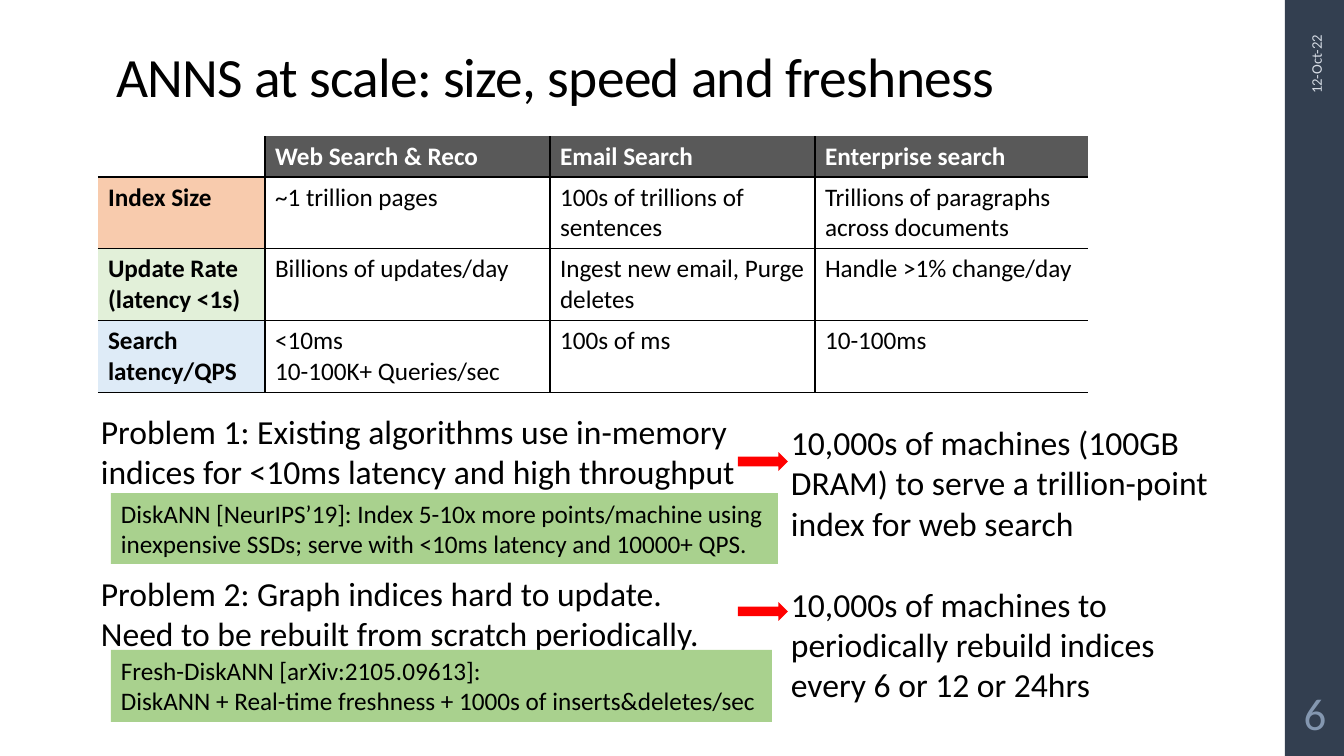
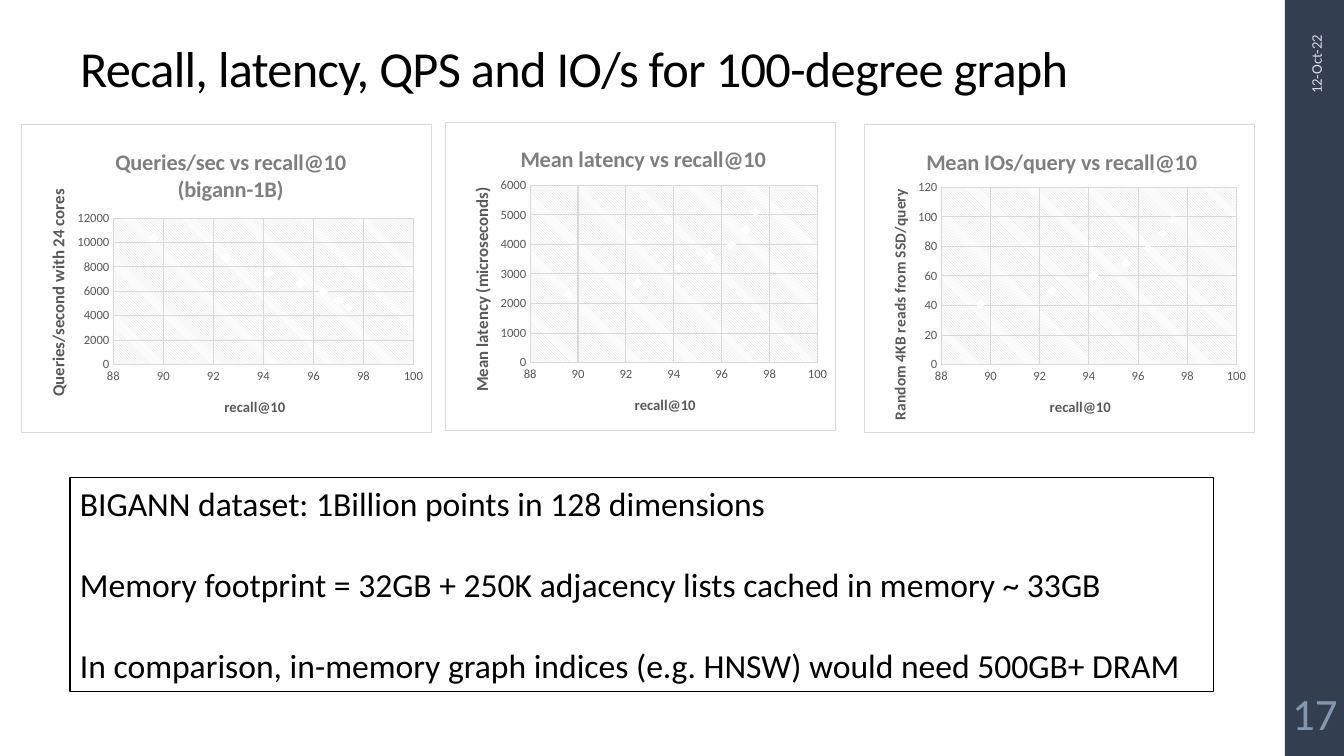
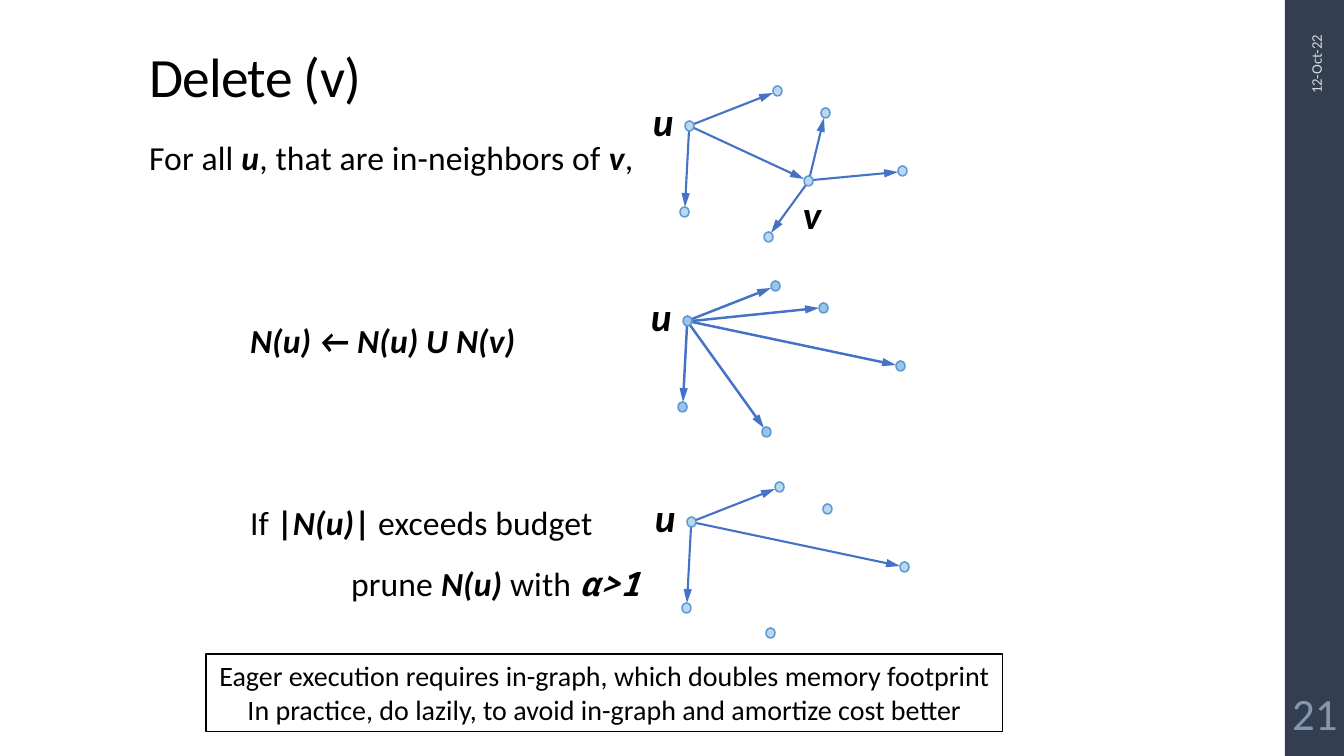
"""Build three slides on nearest-neighbour search at scale."""
import math
from dataclasses import dataclass

from lxml import etree
from pptx import Presentation
from pptx import util as u
from pptx.chart import data as chart_data
from pptx.dml.color import RGBColor
from pptx.enum import chart as chart_enum
from pptx.enum import shapes, text
from pptx.oxml import parse_xml
from pptx.oxml.ns import nsdecls, qn

EMU_PER_PX = 12192000 / 1344


def px(length):
    return u.Emu(round(length * EMU_PER_PX))


@dataclass(frozen=True)
class Theme:
    font: str = "Calibri"
    symbol_font: str = "Noto Sans Mono"
    ink: str = "000000"
    paper: str = "FFFFFF"
    band: str = "333F50"
    date: str = "D6DCE5"
    number: str = "8497B0"
    header: str = "595959"
    row_fills: tuple = ("F8CBAD", "E2F0D9", "DEEBF7")
    callout: str = "A9D18E"
    arrow: str = "FF0000"
    node: str = "BDD7EE"
    node_dark: str = "9DC3E6"
    node_line: str = "5B9BD5"
    edge: str = "4472C4"
    grid: str = "D9D9D9"
    chart_title: str = "7F7F7F"
    chart_text: str = "595959"
    title_size: float = 39.6
    title_small: float = 36
    body_size: float = 24
    label_size: float = 28
    note_size: float = 20
    cell_size: float = 18
    number_size: float = 32
    date_size: float = 10.5
    chart_title_size: float = 16
    chart_size: float = 10
    tick_size: float = 9
    x_title_size: float = 10.5


@dataclass
class Para:
    runs: tuple
    before: float = 0
    after: float = 0
    indent: int = 0


class Deck:
    def __init__(self, theme):
        self.theme = theme
        self.deck = Presentation()
        self.deck.slide_width, self.deck.slide_height = px(1344), px(756)
        self.page = None

    def color(self, target, value):
        target.rgb = RGBColor.from_string(value)

    def paint(self, shape, fill=None, line=None, width=0.75):
        if fill:
            shape.fill.solid()
            self.color(shape.fill.fore_color, fill)
        else:
            shape.fill.background()
        if line:
            self.color(shape.line.color, line)
            shape.line.width = u.Pt(width)
        else:
            shape.line.fill.background()

    def style(self, font, size, color, bold=False, italic=False, name=None):
        font.name, font.size = name or self.theme.font, u.Pt(size)
        font.bold, font.italic = bold, italic
        self.color(font.color, color)

    def place(self, shape, area):
        shape.left, shape.top, shape.width, shape.height = map(px, area)

    def set_text(self, frame, paras, size, color=None, align=text.PP_ALIGN.LEFT,
                 anchor=text.MSO_ANCHOR.TOP, marks="", spacing=None, line=None, plain=False):
        frame.word_wrap = True
        frame.auto_size = text.MSO_AUTO_SIZE.NONE
        frame.vertical_anchor = anchor
        self.add_paras(frame, paras, size, color, align, marks, spacing, line, plain)

    def add_paras(self, frame, paras, size, color, align, marks, spacing=None, line=None, plain=False):
        for index, item in enumerate(paras):
            item = item if isinstance(item, Para) else Para((item,))
            para = frame.paragraphs[0] if index == 0 else frame.add_paragraph()
            if plain:
                props = para._p.get_or_add_pPr()
                props.set("marL", str(px(item.indent)))
                props.set("indent", "0")
                etree.SubElement(props, qn("a:buNone"))
            para.alignment = align
            para.space_before, para.space_after = u.Pt(item.before), u.Pt(item.after)
            if line:
                para.line_spacing = line
            for run in item.runs:
                words, look = run if isinstance(run, tuple) else (run, marks)
                span = para.add_run()
                span.text = words
                name = self.theme.symbol_font if "s" in look else None
                self.style(span.font, size, color or self.theme.ink, "b" in look, "i" in look, name)
                if spacing is not None:
                    span._r.get_or_add_rPr().set("spc", str(spacing))

    def slide(self, title, area, number, size=None, layout=5):
        theme = self.theme
        self.page = self.deck.slides.add_slide(self.deck.slide_layouts[layout])
        self.box((1285, 0, 59, 756), fill=theme.band)
        heading = self.page.shapes.title
        self.place(heading, area)
        self.set_text(heading.text_frame, [title], size or theme.title_size,
                      anchor=text.MSO_ANCHOR.BOTTOM, spacing=-50, line=0.9)
        date = self.label((1211, 110, 210, 40), ["12-Oct-22"], theme.date_size, color=theme.date,
                          align=text.PP_ALIGN.RIGHT, anchor=text.MSO_ANCHOR.MIDDLE)
        date.rotation = 270
        mark = self.label((1285, 680, 60, 66), [number], theme.number_size, color=theme.number,
                          align=text.PP_ALIGN.CENTER, anchor=text.MSO_ANCHOR.MIDDLE)
        mark.text_frame.margin_left = mark.text_frame.margin_right = px(5)

    def body(self, area, paras):
        holder = self.page.placeholders[1]
        self.place(holder, area)
        self.set_text(holder.text_frame, paras, self.theme.body_size, spacing=10, line=0.95, plain=True)

    def label(self, area, paras, size, **look):
        box = self.page.shapes.add_textbox(*map(px, area))
        self.set_text(box.text_frame, paras, size, **look)
        return box

    def box(self, area, paras=(), size=None, fill=None, line=None, width=0.75,
            kind=shapes.MSO_SHAPE.RECTANGLE, **look):
        shape = self.page.shapes.add_shape(kind, *map(px, area))
        shape.shadow.inherit = False
        self.paint(shape, fill, line, width)
        if paras:
            self.set_text(shape.text_frame, paras, size, **look)
        return shape

    def edge(self, start, end, width):
        angle = math.atan2(end[1] - start[1], end[0] - start[0])
        dx, dy = 5 * math.cos(angle), 5 * math.sin(angle)
        ends = (start[0] + dx, start[1] + dy, end[0] - dx, end[1] - dy)
        line = self.page.shapes.add_connector(shapes.MSO_CONNECTOR.STRAIGHT, *map(px, map(round, ends)))
        self.color(line.line.color, self.theme.edge)
        line.line.width = u.Pt(width)
        props = line.element.spPr
        etree.SubElement(props.find(qn("a:ln")), qn("a:tailEnd"), type="triangle", w="med", len="lg")
        etree.SubElement(props, qn("a:effectLst"))

    def graph(self, origin, nodes, edges, labels, fill, width=1.5):
        centers = {name: (origin[0] + x + 4.5, origin[1] + y + 5) for name, (x, y) in nodes.items()}
        for start, end in edges:
            self.edge(centers[start], centers[end], width)
        for x, y in nodes.values():
            self.box((origin[0] + x, origin[1] + y, 9, 10), fill=fill, line=self.theme.node_line,
                     width=1.1, kind=shapes.MSO_SHAPE.OVAL)
        for name, (x, y) in labels.items():
            self.label((origin[0] + x, origin[1] + y, 42, 57), [name], self.theme.label_size, marks="bi")

    def table(self, origin, widths, heights, rows):
        theme = self.theme
        frame = self.page.shapes.add_table(len(rows), len(widths), *map(px, (*origin, sum(widths), sum(heights))))
        table = frame.table
        table._tbl.tblPr.find(qn("a:tableStyleId")).text = "{2D5ABB26-0587-4C30-8999-92F81FD0307C}"
        table.first_row = table.horz_banding = False
        for column, width in zip(table.columns, widths):
            column.width = px(width)
        for row, height in zip(table.rows, heights):
            row.height = px(height)
        for r, row in enumerate(rows):
            for c, words in enumerate(row):
                cell = table.cell(r, c)
                sides = {"L": c > 0, "R": c < len(widths) - 1, "T": r > 0, "B": True}
                for side in (name for name, shown in sides.items() if shown):
                    cell._tc.get_or_add_tcPr().append(parse_xml(
                        f'<a:ln{side} {nsdecls("a")} w="12700"><a:solidFill><a:srgbClr val="{theme.ink}"/>'
                        f'</a:solidFill></a:ln{side}>'))
                fill = theme.header if r == 0 and c else theme.row_fills[r - 1] if r and c == 0 else None
                if fill:
                    cell.fill.solid()
                    self.color(cell.fill.fore_color, fill)
                else:
                    cell.fill.background()
                if words:
                    self.add_paras(cell.text_frame, words.split("\n"), theme.cell_size,
                                   theme.ink if r else theme.paper, text.PP_ALIGN.LEFT,
                                   "b" if r * c == 0 else "")

    def layout(self, owner, values):
        for old in owner.findall(qn("c:layout")):
            owner.remove(old)
        inner = '<c:layoutTarget val="inner"/>' if "w" in values else ""
        modes = "".join(f'<c:{key}Mode val="edge"/>' for key in ("x", "y"))
        sizes = "".join(f'<c:{key} val="{value:.3f}"/>' for key, value in values.items())
        found = owner.find(qn("c:tx"))
        owner.insert(0 if found is None else 1, parse_xml(
            f'<c:layout {nsdecls("c")}><c:manualLayout>{inner}{modes}{sizes}</c:manualLayout></c:layout>'))

    def chart_heading(self, title, words, size, color, x, y):
        para = title.text_frame.paragraphs[0]
        span = para.add_run()
        span.text = words
        self.style(span.font, size, color, bold=True)
        self.layout(title._element, {"x": x, "y": y})

    def axis(self, axis, low, high, step):
        axis.minimum_scale, axis.maximum_scale, axis.major_unit = low, high, step
        axis.has_major_gridlines = True
        axis.major_tick_mark = axis.minor_tick_mark = chart_enum.XL_TICK_MARK.NONE
        for line in (axis.format.line, axis.major_gridlines.format.line):
            self.color(line.color, self.theme.grid)
            line.width = u.Pt(0.75)
        self.style(axis.tick_labels.font, self.theme.tick_size, self.theme.chart_text)

    def scatter(self, area, plot_area, title, title_x, y_title, y_size, xs, ys, top, step):
        theme = self.theme
        width, height = area[2:]
        plot_x, plot_y, plot_w, plot_h = plot_area
        points = chart_data.XyChartData()
        series = points.add_series("Series 1")
        for x, y in zip(xs, ys):
            series.add_data_point(x, y)
        chart = self.page.shapes.add_chart(
            chart_enum.XL_CHART_TYPE.XY_SCATTER, *map(px, area), points).chart
        chart.has_legend = False
        self.style(chart.font, theme.chart_size, theme.ink)
        chart.has_title = True
        self.chart_heading(chart.chart_title, title, theme.chart_title_size, theme.chart_title,
                           title_x / width, 18 / height)
        self.axis(chart.category_axis, 88, 100, 2)
        self.axis(chart.value_axis, 0, top, step)
        self.chart_heading(chart.category_axis.axis_title, "recall@10", theme.x_title_size, theme.chart_text,
                           (plot_x + plot_w / 2 - 42) / width, (plot_y + plot_h + 30) / height)
        side = chart.value_axis.axis_title
        self.chart_heading(side, y_title, y_size, theme.chart_text, 22 / width, 62 / height)
        side._element.find(".//" + qn("a:bodyPr")).set("rot", "-5400000")
        plot = chart.plots[0]
        plot.vary_by_categories = False
        line = plot.series[0]
        line.format.line.fill.background()
        marker = line.marker
        marker.style, marker.size = chart_enum.XL_MARKER_STYLE.DIAMOND, 6
        self.paint(marker.format, theme.paper, theme.paper)
        space = chart._chartSpace
        field = space.find(".//" + qn("c:plotArea"))
        self.layout(field, {"x": plot_x / width, "y": plot_y / height, "w": plot_w / width, "h": plot_h / height})
        field.append(parse_xml(
            f'<c:spPr {nsdecls("c", "a")}><a:pattFill prst="ltDnDiag"><a:fgClr><a:srgbClr val="{theme.grid}"/></a:fgClr>'
            f'<a:bgClr><a:srgbClr val="{theme.paper}"/></a:bgClr></a:pattFill></c:spPr>'))
        space.find(qn("c:chart")).addnext(parse_xml(
            f'<c:spPr {nsdecls("c", "a")}><a:solidFill><a:srgbClr val="{theme.paper}"/></a:solidFill>'
            f'<a:ln w="9525"><a:solidFill><a:srgbClr val="{theme.grid}"/></a:solidFill></a:ln></c:spPr>'))


def scale_slide(deck):
    theme = deck.theme
    deck.slide("ANNS at scale: size, speed and freshness", (106, 40, 1102, 75), "6")
    deck.table((98, 136), (167, 285, 265, 273), (41, 71, 72, 72), [
        ("", "Web Search & Reco", "Email Search", "Enterprise search"),
        ("Index Size", "~1 trillion pages", "100s of trillions of sentences",
         "Trillions of paragraphs across documents"),
        ("Update Rate\n(latency <1s)", "Billions of updates/day", "Ingest new email, Purge deletes",
         "Handle >1% change/day"),
        ("Search latency/QPS", "<10ms\n10-100K+ Queries/sec", "100s of ms", "10-100ms"),
    ])
    deck.label((91, 406, 656, 254), [
        "Problem 1: Existing algorithms use in-memory indices for <10ms latency and high throughput",
        Para(("Problem 2: Graph indices hard to update. Need to be rebuilt from scratch periodically.",), before=58),
    ], theme.body_size)
    callouts = (
        ((111, 493, 667, 71), ["DiskANN [NeurIPS’19]: Index 5-10x more points/machine using inexpensive SSDs; "
                               "serve with <10ms latency and 10000+ QPS."]),
        ((111, 650, 661, 72), ["Fresh-DiskANN [arXiv:2105.09613]:",
                               "DiskANN + Real-time freshness + 1000s of inserts&deletes/sec"]),
    )
    for area, paras in callouts:
        deck.box(area, paras, theme.cell_size, fill=theme.callout)
    deck.label((781, 417, 493, 295), [
        "10,000s of machines (100GB DRAM) to serve a trillion-point index for web search",
        Para(("10,000s of machines to",), before=29),
        "periodically rebuild indices",
        "every 6 or 12 or 24hrs",
    ], theme.body_size)
    for top in (452, 602):
        deck.box((738, top, 50, 19), fill=theme.arrow, kind=shapes.MSO_SHAPE.RIGHT_ARROW)


def recall_slide(deck):
    theme = deck.theme
    deck.slide("Recall, latency, QPS and IO/s for 100-degree graph", (70, 28, 1208, 75), "17", theme.title_small)
    recall = (89.6, 92.5, 94.2, 95.5, 96.4, 97, 97.4)
    deck.scatter((21, 124, 411, 309), (92, 94, 301, 147), "Queries/sec vs recall@10 (bigann-1B)", 90,
                 "Queries/second with 24 cores", 12, recall,
                 (10400, 8800, 7500, 6700, 6000, 5300, 4700), 12000, 2000)
    deck.scatter((445, 122, 391, 309), (85, 63, 288, 178), "Mean latency vs recall@10", 71,
                 "Mean latency (microseconds)", 12, recall,
                 (2300, 2700, 3200, 3600, 4000, 4500, 5100), 6000, 1000)
    deck.scatter((864, 124, 391, 309), (77, 63, 296, 178), "Mean IOs/query vs recall@10", 58,
                 "Random 4KB reads from SSD/query", 11, recall,
                 (41, 50, 60, 69, 79, 89, 98), 120, 20)
    deck.box((70, 478, 1144, 214), [
        "BIGANN dataset: 1Billion points in 128 dimensions",
        Para(("Memory footprint = 32GB + 250K adjacency lists cached in memory ~ 33GB",), before=29),
        Para(("In comparison, in-memory graph indices (e.g. HNSW) would need 500GB+ DRAM",), before=29),
    ], theme.body_size, line=theme.ink)


def delete_slide(deck):
    theme = deck.theme
    deck.slide("Delete (v)", (139, 40, 1068, 75), "21", layout=1)
    deck.body((139, 135, 948, 524), [
        Para(("For all ", ("u", "bi"), ", that are in-neighbors of ", ("v", "bi"), ","), after=2),
        Para((("N(u) ← N(u) U N(v)", "bi"),), before=101, after=2, indent=101),
        Para(("If ", ("|", "b"), ("N(u)", "bi"), ("| ", "b"), "exceeds budget"), before=101, after=2, indent=101),
        Para(("prune ", ("N(u) ", "bi"), "with ", ("α>1", "bis")), before=14, after=2, indent=202),
    ])
    nodes = {"u": (0, 0), "down": (-5, 86), "up": (88, -35), "near": (136, -13), "far": (213, 45), "low": (79, 111)}
    label = {"u": (-42, -29)}
    deck.graph((685, 121), nodes | {"v": (119, 55)},
               [("u", "v"), ("u", "up"), ("u", "down"), ("v", "near"), ("v", "far"), ("v", "low")],
               label | {"v": (108, 64)}, theme.node)
    deck.graph((683, 316), nodes, [("u", name) for name in nodes if name != "u"], label, theme.node_dark, 1.75)
    deck.graph((687, 517), nodes, [("u", name) for name in ("up", "far", "down")], label, theme.node)
    deck.box((206, 654, 797, 78), [
        "Eager execution requires in-graph, which doubles memory footprint",
        "In practice, do lazily, to avoid in-graph and amortize cost better",
    ], theme.note_size, line=theme.ink, align=text.PP_ALIGN.CENTER)


def main():
    deck = Deck(Theme())
    scale_slide(deck)
    recall_slide(deck)
    delete_slide(deck)
    deck.deck.save("out.pptx")


if __name__ == "__main__":
    main()
